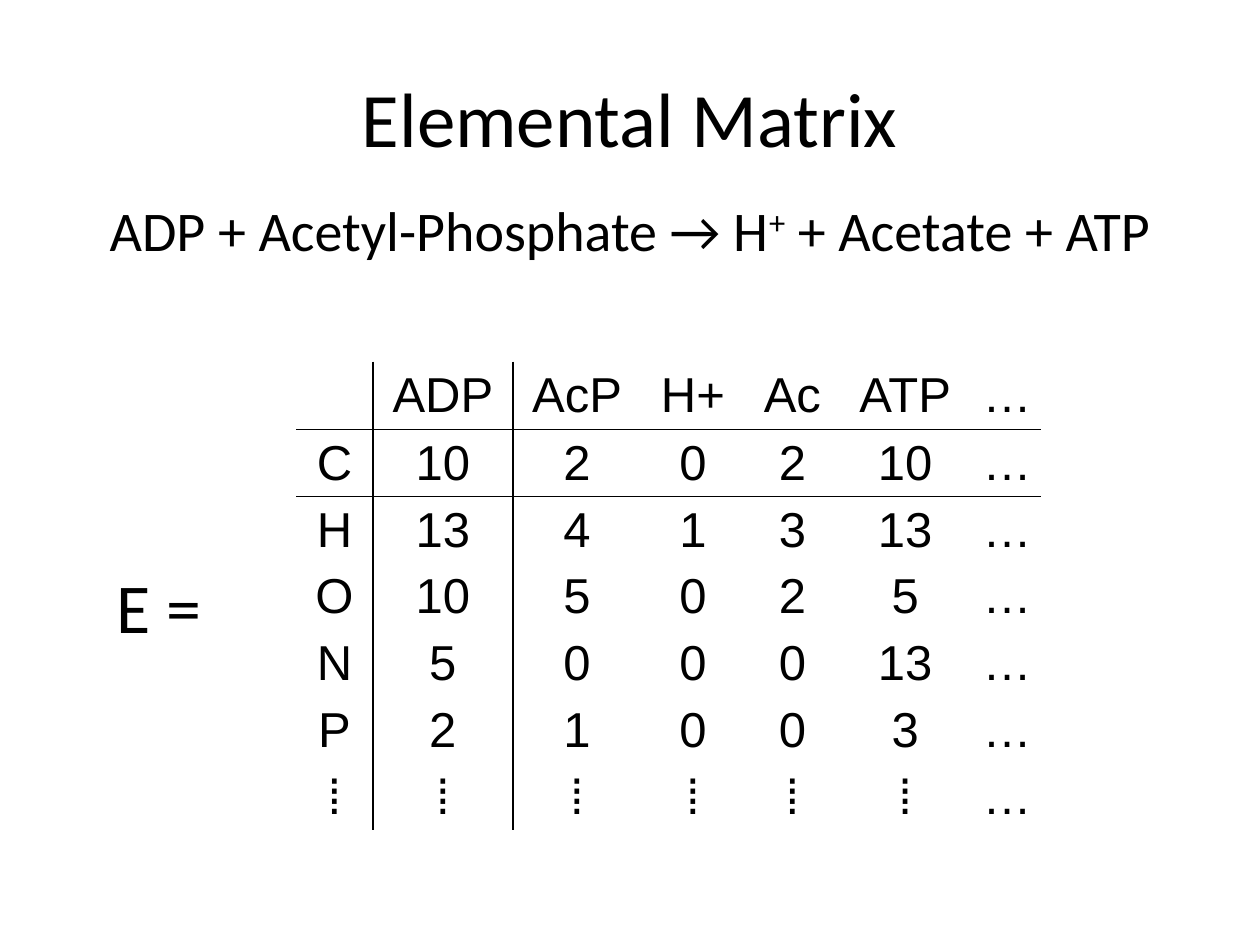
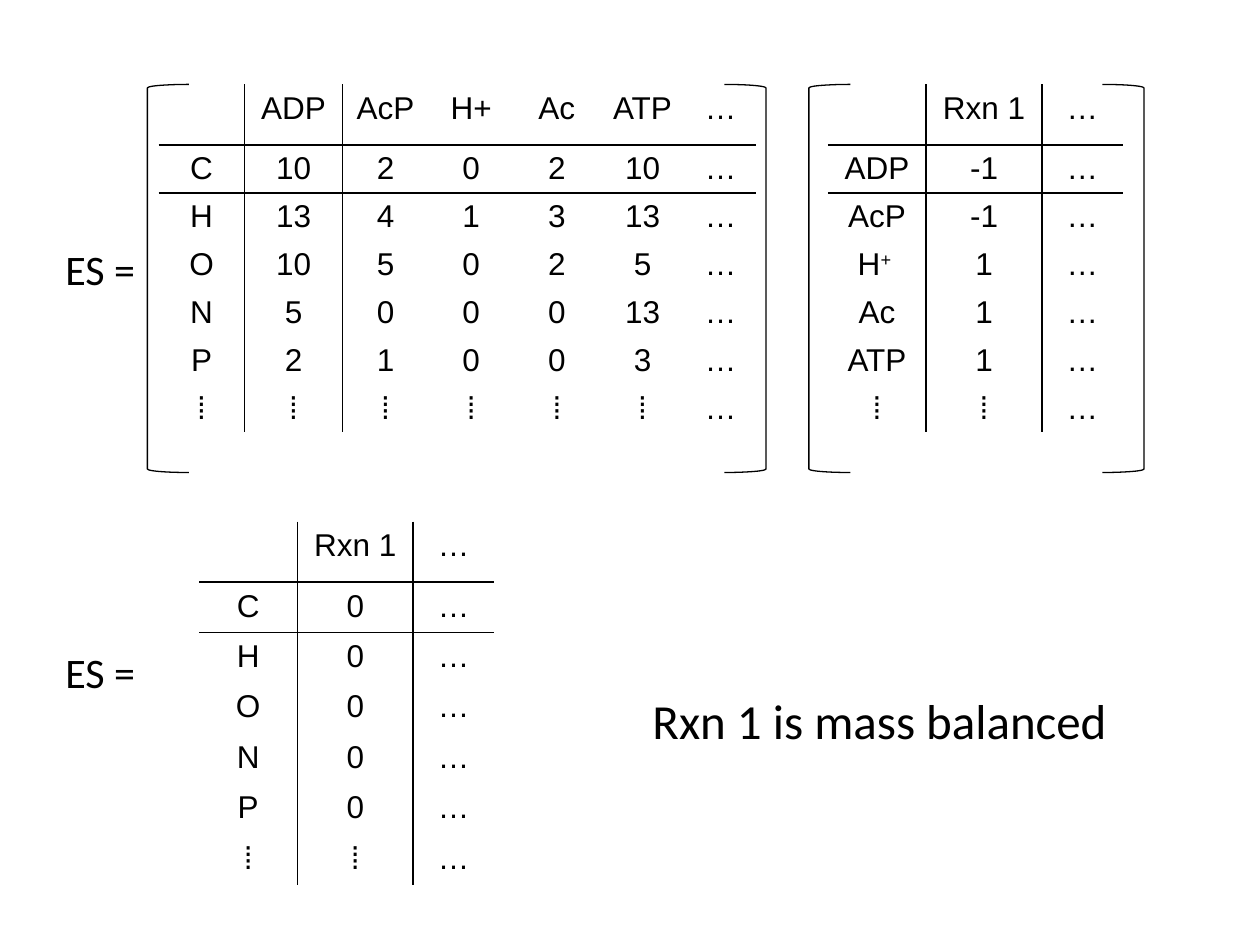
from lxml.etree import SubElement
from pptx import Presentation
from pptx.dml.color import RGBColor
from pptx.enum.shapes import MSO_SHAPE
from pptx.enum.text import MSO_ANCHOR, PP_ALIGN
from pptx.oxml.ns import qn
from pptx.util import Pt

PX = 9144
BLACK = RGBColor(0, 0, 0)
NO_GRID_STYLE = "{2D5ABB26-0587-4C30-8999-92F81FD0307C}"
CELL_FORMAT = {"margin_top": 5 * PX, "margin_bottom": 3 * PX, "vertical_anchor": MSO_ANCHOR.TOP}
PLAIN_TABLE = {"first_row": False, "horz_banding": False}


def write(frame, text, font, size, align):
    paragraph = frame.paragraphs[0]
    paragraph.alignment = align
    for position, part in enumerate(text.split("^")):
        if not part:
            continue
        run = paragraph.add_run()
        run.text = part
        for name, value in {"name": font, "size": Pt(size), "bold": False}.items():
            setattr(run.font, name, value)
        run.font.color.rgb = BLACK
        if position % 2:
            run.font._element.set("baseline", "30000")


def add_border(cell, side):
    line = SubElement(cell._tc.get_or_add_tcPr(), qn(f"a:ln{side}"), w=str(Pt(1)))
    fill = SubElement(line, qn("a:solidFill"))
    SubElement(fill, qn("a:srgbClr"), val=str(BLACK))


prs = Presentation()
prs.slide_width, prs.slide_height = 1000 * PX, 750 * PX
matrix_slide, balance_slide = [prs.slides.add_slide(prs.slide_layouts[6]) for _ in range(2)]

elemental_matrix = [
    ["", "ADP", "AcP", "H+", "Ac", "ATP", "…"],
    ["C", "10", "2", "0", "2", "10", "…"],
    ["H", "13", "4", "1", "3", "13", "…"],
    ["O", "10", "5", "0", "2", "5", "…"],
    ["N", "5", "0", "0", "0", "13", "…"],
    ["P", "2", "1", "0", "0", "3", "…"],
    ["⁞", "⁞", "⁞", "⁞", "⁞", "⁞", "…"],
]
reaction_header = ["", "Rxn 1", "…"]
last_row = ["⁞", "⁞", "…"]
coefficients = {"ADP": "-1", "AcP": "-1", "H^+ ": "1", "Ac": "1", "ATP": "1"}
stoichiometry = [reaction_header, *[[c, n, "…"] for c, n in coefficients.items()], last_row]
balance = [reaction_header, *[[element, "0", "…"] for element in "CHONP"], last_row]

wide_columns = [61, 111, 102, 82, 76, 103, 56]
compact_columns = [68, 78, 68, 68, 68, 68, 56]
reaction_columns = [78, 92, 64]

for slide, left, top, columns, header_height, row_height, size, matrix in [
    (matrix_slide, 235, 287, wide_columns, 54, 53, 28, elemental_matrix),
    (balance_slide, 126, 67, compact_columns, 48, 38, 18, elemental_matrix),
    (balance_slide, 657, 67, reaction_columns, 48, 38, 18, stoichiometry),
    (balance_slide, 158, 414, reaction_columns, 48, 40, 18, balance),
]:
    heights = [header_height] + [row_height] * (len(matrix) - 1)
    table = slide.shapes.add_table(
        len(matrix), len(columns), left * PX, top * PX, sum(columns) * PX, sum(heights) * PX
    ).table
    for name, value in PLAIN_TABLE.items():
        setattr(table, name, value)
    table._tbl.tblPr[0].text = NO_GRID_STYLE
    for column, width in zip(table.columns, columns):
        column.width = width * PX
    for r, (values, height) in enumerate(zip(matrix, heights)):
        table.rows[r].height = height * PX
        for c, value in enumerate(values):
            cell = table.cell(r, c)
            for name, setting in CELL_FORMAT.items():
                setattr(cell, name, setting)
            write(cell.text_frame, value, "Arial", size, PP_ALIGN.CENTER)
            for side, wanted in {"L": c == 1, "R": c == 0, "T": r == 1, "B": r == 0}.items():
                if wanted:
                    add_border(cell, side)
            cell.fill.background()

reaction = "ADP + Acetyl-Phosphate → H^+^ + Acetate + ATP"
for slide, left, top, width, height, text, size, align, anchor, wrap in [
    (matrix_slide, 50, 30, 900, 125, "Elemental Matrix", 44, PP_ALIGN.CENTER, MSO_ANCHOR.MIDDLE, True),
    (matrix_slide, 83, 442, 101, 77, "E =", 40, PP_ALIGN.LEFT, MSO_ANCHOR.TOP, False),
    (matrix_slide, 0, 150, 1000, 64, reaction, 32, PP_ALIGN.CENTER, MSO_ANCHOR.TOP, True),
    (balance_slide, 42, 188, 84, 50, "ES =", 24, PP_ALIGN.LEFT, MSO_ANCHOR.TOP, False),
    (balance_slide, 42, 508, 84, 50, "ES =", 24, PP_ALIGN.LEFT, MSO_ANCHOR.TOP, False),
    (balance_slide, 508, 543, 398, 57, "Rxn 1 is mass balanced", 28, PP_ALIGN.LEFT, MSO_ANCHOR.TOP, False),
]:
    frame = slide.shapes.add_textbox(left * PX, top * PX, width * PX, height * PX).text_frame
    for name, value in {"word_wrap": wrap, "vertical_anchor": anchor}.items():
        setattr(frame, name, value)
    write(frame, text, "Calibri", size, align)

for left, preset in [
    (575, MSO_SHAPE.RIGHT_BRACKET),
    (875, MSO_SHAPE.RIGHT_BRACKET),
    (117, MSO_SHAPE.LEFT_BRACKET),
    (642, MSO_SHAPE.LEFT_BRACKET),
]:
    bracket = balance_slide.shapes.add_shape(preset, left * PX, 67 * PX, 33 * PX, 308 * PX)
    bracket.shadow.inherit = False
    bracket.fill.background()
    bracket.line.color.rgb = BLACK
    bracket.line.width = Pt(0.75)

prs.save("out.pptx")
